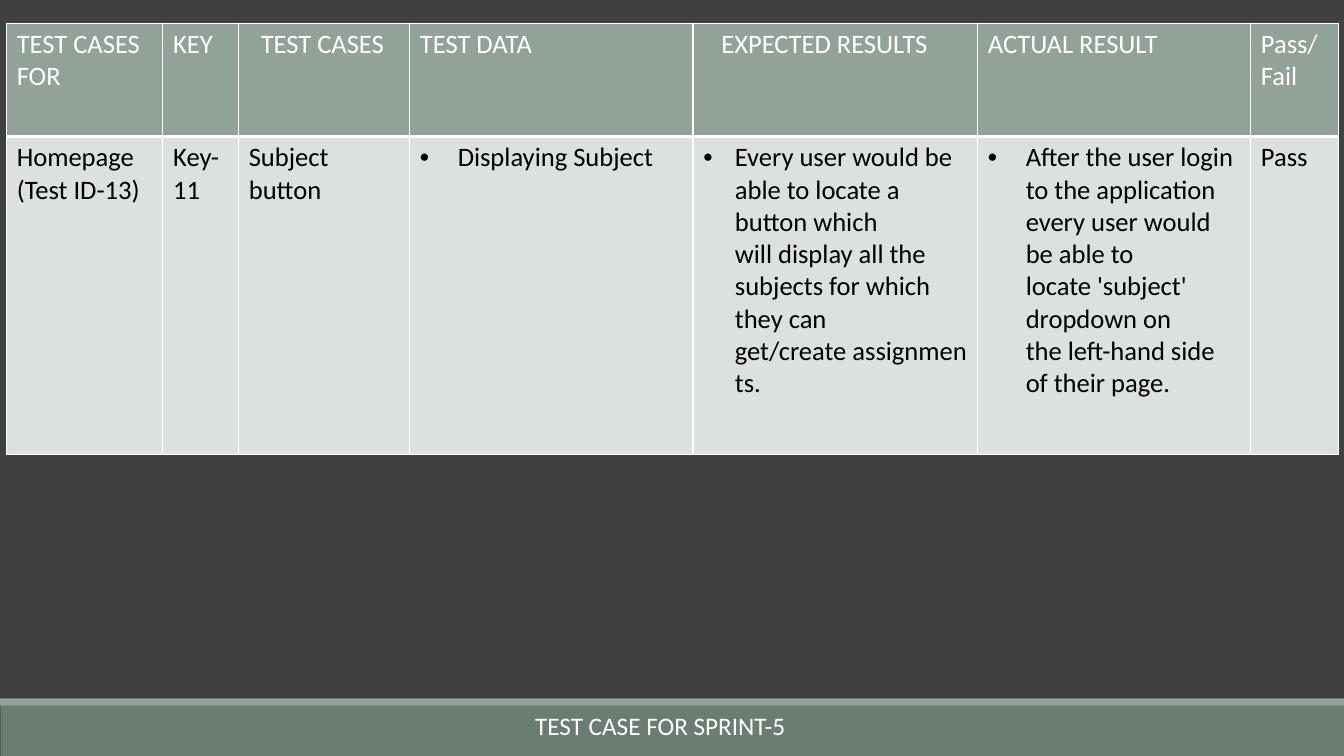
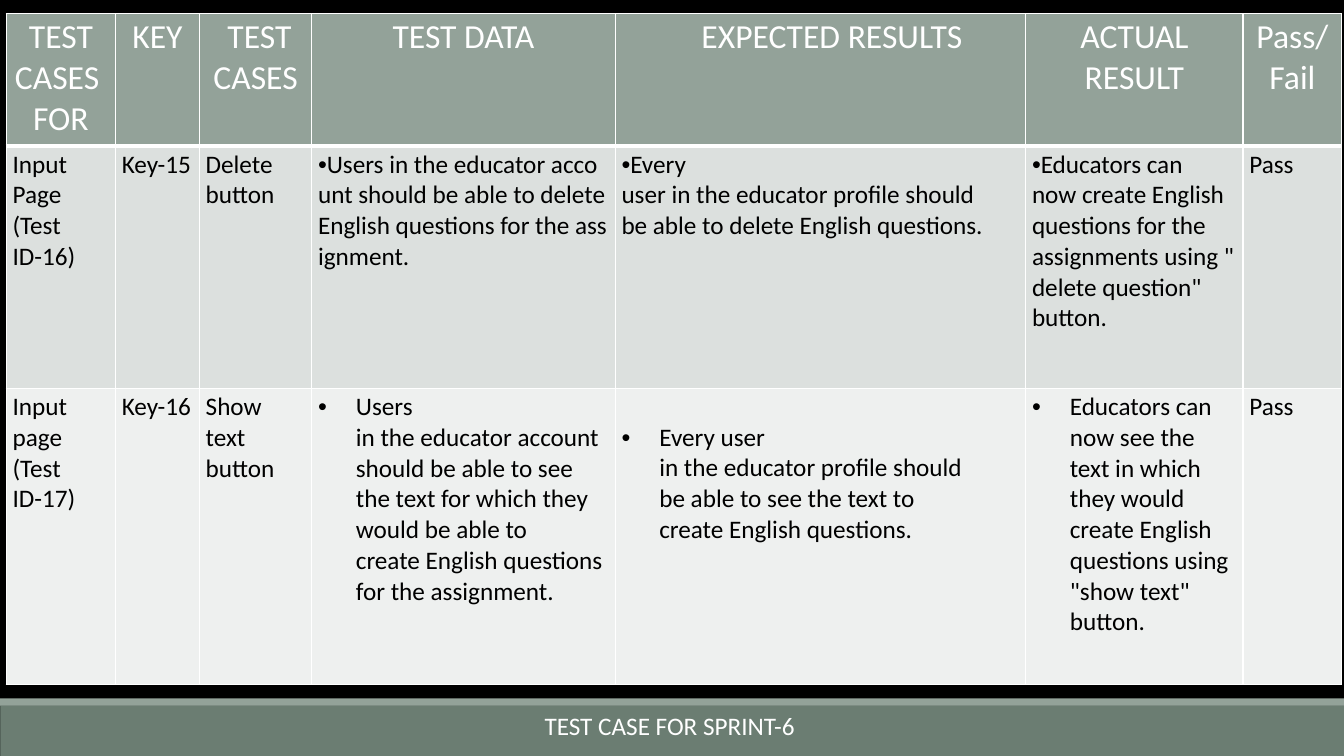
from lxml import etree
from pptx import Presentation
from pptx.dml.color import RGBColor
from pptx.enum import shapes, text
from pptx.oxml.ns import qn
from pptx.util import Pt

PX = 9525  # EMU in one px, 96 px to the inch
WIDE, HIGH = 1280, 720
FONT = "Calibri"
WHITE, BLACK = "FFFFFF", "000000"
SAGE, MOSS, EDGE = "93A299", "6B7D72", "55645B"
ROWS = [SAGE, "DCE0DE", "EEF0EF"]  # header, then body rows
LEFT = text.PP_ALIGN.LEFT
CENTER = text.PP_ALIGN.CENTER

# In the texts below, ~ stands for a no-break space.
# A body cell is a string, or (bullet text, indent, extra top margin).
FIFTH = [
    ["TEST CASES~\nFOR", "KEY", "~ TEST CASES", "TEST DATA",
     "~ ~EXPECTED RESULTS", "ACTUAL RESULT", "Pass/Fail"],
    ["Homepage\n(Test ID-13)", "Key-11", "Subject button",
     ("Displaying Subject", 36, 0),
     ("Every user would be able to~locate a button which will~display all "
      "the subjects for~which they can get/create~assignments.", 30, 0),
     ("After the user login to the~application every user~would be able to "
      "locate~'subject' dropdown~on the~left-hand~side of their page.", 36, 0),
     "Pass"],
]
SIXTH = [
    ["TEST\nCASES~FOR", "KEY", "~ TEST~\nCASES", "TEST DATA",
     "~ ~EXPECTED~RESULTS", "ACTUAL RESULT", "Pass/Fail"],
    ["Input Page\n(Test ID-16)", "Key-15", "Delete button",
     ("Users~in~the~educator~account~should~be able~to delete "
      "English~questions~for~the~assignment.~", 0, 0),
     ("Every user~in~the~educator~profile~should be~able "
      "to~delete~English~questions.~", 0, 0),
     ("Educators can now~create~English~questions for the "
      "assignments~using~\"delete question\" button.~", 0, 0),
     "Pass"],
    ["Input page\n(Test ID-17)", "Key-16", "Show text button",
     ("Users in~the~educator~account~should~be able~to see the text for "
      "which they would be able to create~English~questions "
      "for~the~assignment.", 36, 0),
     ("Every user in~the~educator~profile~should be~able to see the text to "
      "create~English~questions.", 36, 29),
     ("Educators can now see the text in which they would create English "
      "questions using \"show text\" button.", 36, 0),
     "Pass"],
]


def rgb(code):
    return RGBColor.from_string(code)


def style(para, size, color, align=LEFT):
    para.alignment = align
    for run in para.runs:
        font = run.font
        font.name, font.size, font.bold = FONT, Pt(size), False
        font.color.rgb = rgb(color)


def bullet(para, indent):
    props = para._p.get_or_add_pPr()
    props.set("marL", str(indent * PX))
    props.set("indent", str(-indent * PX))
    etree.SubElement(props, qn("a:buFont")).set("typeface", "Arial")
    etree.SubElement(props, qn("a:buChar")).set("char", "•")


def border(cell, base):
    """White lines on all sides, the bottom one `base` points wide."""
    props = cell._tc.get_or_add_tcPr()
    for spot, side in enumerate("LRTB"):
        line = etree.Element(qn("a:ln" + side))
        line.set("w", str(Pt(base if side == "B" else 1)))
        fill = etree.SubElement(line, qn("a:solidFill"))
        etree.SubElement(fill, qn("a:srgbClr")).set("val", WHITE)
        props.insert(spot, line)


def band(slide, top, high, color, edge=None):
    box = slide.shapes.add_shape(shapes.MSO_SHAPE.RECTANGLE, 0, top * PX,
                                 WIDE * PX, high * PX)
    box.shadow.inherit = False
    box.fill.solid()
    box.fill.fore_color.rgb = rgb(color)
    if edge:
        box.line.color.rgb = rgb(edge)
        box.line.width = Pt(0.5)
    else:
        box.line.fill.background()
    slide.shapes.element.insert(2, box.element)  # behind the title


def caption(slide, words, left):
    title = slide.shapes.title
    title.left, title.top = left * PX, 672 * PX
    title.width, title.height = 288 * PX, 38 * PX
    frame = title.text_frame
    frame.text = words
    frame.word_wrap = True
    frame.auto_size = text.MSO_AUTO_SIZE.NONE
    frame.vertical_anchor = text.MSO_ANCHOR.TOP
    style(frame.paragraphs[0], 18, WHITE)


def fill_cell(cell, item, row, pad, size, align):
    words, indent, drop = (item, None, 0) if isinstance(item, str) else item
    cell.margin_left = cell.margin_right = pad * PX
    cell.margin_top = (pad // 2 + drop) * PX
    cell.margin_bottom = pad // 2 * PX
    cell.fill.solid()
    cell.fill.fore_color.rgb = rgb(ROWS[row])
    border(cell, 1 if row else 3)
    cell.text_frame.text = words.replace("~", chr(160))
    for para in cell.text_frame.paragraphs:
        if indent is not None:
            bullet(para, indent)
        style(para, size, BLACK if row else WHITE, align)


def grid(slide, data, top, cols, rows, pad, sizes, align):
    """sizes holds the header and body text sizes; align is the header's."""
    table = slide.shapes.add_table(len(rows), len(cols), 6 * PX, top * PX,
                                   sum(cols) * PX, sum(rows) * PX).table
    for col, wide in zip(table.columns, cols):
        col.width = wide * PX
    for r, high in enumerate(rows):
        table.rows[r].height = high * PX
        for c, item in enumerate(data[r]):
            fill_cell(table.cell(r, c), item, r, pad, sizes[min(r, 1)],
                      LEFT if r else align)


def page(deck, back, words, left):
    slide = deck.slides.add_slide(deck.slide_layouts[5])
    slide.background.fill.solid()
    slide.background.fill.fore_color.rgb = rgb(back)
    band(slide, 665, 7, SAGE)
    band(slide, 672, 48, MOSS, EDGE)
    caption(slide, words, left)
    return slide


def main():
    deck = Presentation()
    deck.slide_width, deck.slide_height = WIDE * PX, HIGH * PX

    # Sprint 5
    slide = page(deck, "404040", "TEST CASE FOR SPRINT-5", 500)
    grid(slide, FIFTH, 22, [149, 72, 163, 270, 271, 260, 84], [108, 303],
         10, (19, 19), LEFT)

    # Sprint 6
    slide = page(deck, BLACK, "TEST CASE FOR SPRINT-6", 509)
    grid(slide, SIXTH, 13, [104, 80, 107, 289, 391, 207, 94],
         [126, 231, 282], 6, (24, 18), CENTER)

    deck.save("out.pptx")


if __name__ == "__main__":
    main()
